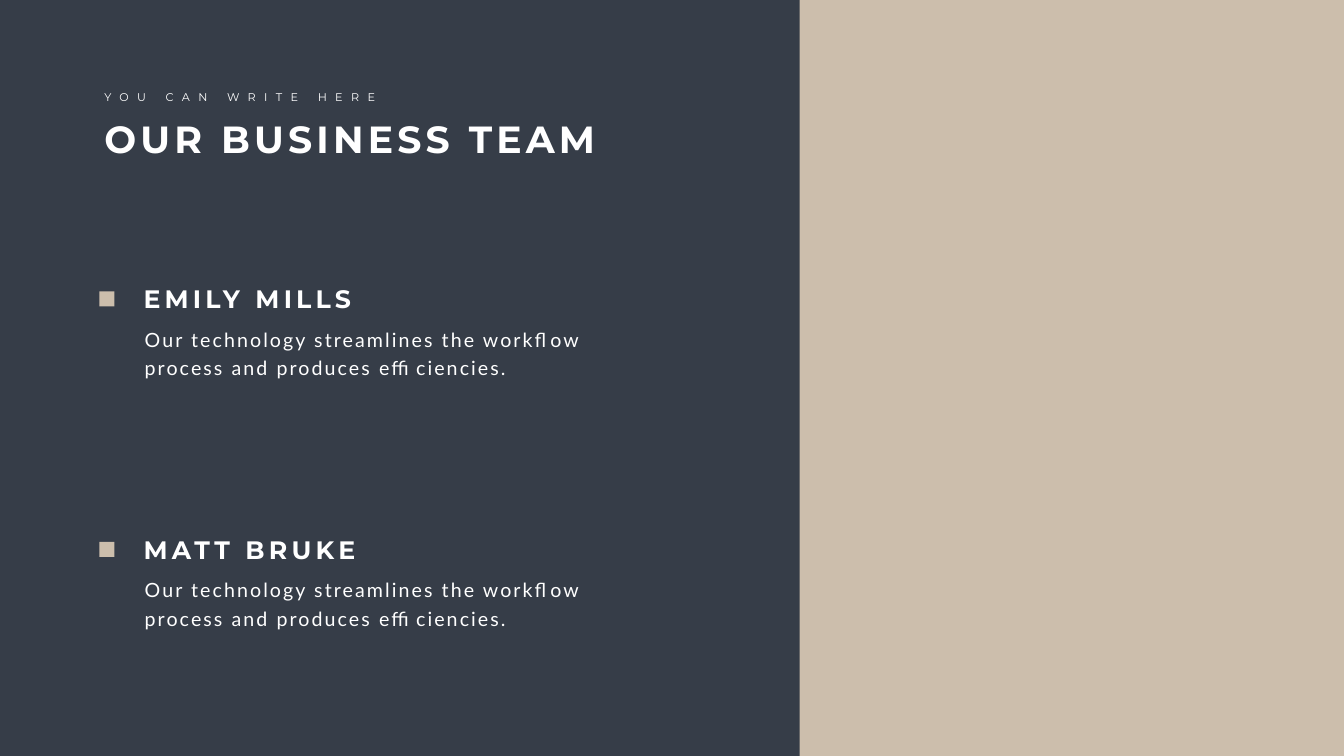
"""Build a team slide with a heading, two members and a plain side panel."""
from dataclasses import dataclass

from pptx import Presentation
from pptx import util as u
from pptx.dml.color import RGBColor
from pptx.enum import shapes, text
from pptx.shapes.shapetree import GroupShapes
from pptx.slide import Slide

PX = u.Inches(1) // 100
COLOURS = {"night": "363D48", "sand": "CCBEAC", "white": "FFFFFF"}
BLURB = "Our technology streamlines the workflow process and produces efficiencies."


@dataclass(frozen=True)
class Area:
    left: int
    top: int
    width: int
    height: int


@dataclass(frozen=True)
class Style:
    font: str
    size: int
    spacing: int
    bold: bool = False
    wrap: bool = True
    inset: tuple[int, int] = (10, 5)
    line_points: float | None = None


@dataclass(frozen=True)
class Member:
    name: str
    top: int


KICKER = Style("Montserrat", 16, 12, wrap=False)
TITLE = Style("Montserrat", 54, 6, bold=True)
NAME = Style("Montserrat", 36, 6, bold=True)
BODY = Style("Lato", 28, 3, inset=(24, 12), line_points=40.8)
MEMBERS = [Member("EMILY MILLS", 558), Member("MATT BRUKE", 1055)]


def colour(name: str) -> RGBColor:
    """Return a named colour."""
    return RGBColor.from_string(COLOURS[name])


def emu(area: Area) -> tuple[int, int, int, int]:
    """Turn an area in px into EMU lengths."""
    return area.left * PX, area.top * PX, area.width * PX, area.height * PX


def add_block(parent: GroupShapes, area: Area) -> None:
    """Draw a plain sand rectangle."""
    block = parent.add_shape(shapes.MSO_SHAPE.RECTANGLE, *emu(area))
    block.shadow.inherit = False
    block.fill.solid()
    block.fill.fore_color.rgb = colour("sand")
    block.line.fill.background()


def add_text(parent: GroupShapes, area: Area, words: str, style: Style) -> None:
    """Draw one paragraph of white text."""
    box = parent.add_textbox(*emu(area))
    frame = box.text_frame
    frame.word_wrap = style.wrap
    frame.auto_size = text.MSO_AUTO_SIZE.SHAPE_TO_FIT_TEXT
    frame.margin_left = frame.margin_right = style.inset[0] * PX
    frame.margin_top = frame.margin_bottom = style.inset[1] * PX
    para = frame.paragraphs[0]
    if style.line_points:
        para.line_spacing = u.Pt(style.line_points)
    span = para.add_run()
    span.text = words
    span.font.name = style.font
    span.font.size = u.Pt(style.size)
    span.font.bold = style.bold
    span.font.color.rgb = colour("white")
    span.font._element.set("spc", str(style.spacing * 100))


def add_heading(page: Slide) -> None:
    """Draw the title and the small line above it."""
    group = page.shapes.add_group_shape().shapes
    add_text(group, Area(197, 225, 1100, 101), "OUR BUSINESS TEAM", TITLE)
    add_text(group, Area(197, 174, 578, 37), "YOU CAN WRITE HERE", KICKER)


def add_member(page: Slide, member: Member) -> None:
    """Draw a member's marker, description and name."""
    group = page.shapes.add_group_shape().shapes
    add_block(group, Area(197, member.top + 20, 30, 30))
    add_text(group, Area(263, member.top + 70, 921, 133), BLURB, BODY)
    add_text(group, Area(275, member.top, 534, 71), member.name, NAME)


def main() -> None:
    """Build and save the deck."""
    deck = Presentation()
    deck.slide_width, deck.slide_height = 2666 * PX, 1500 * PX
    page = deck.slides.add_slide(deck.slide_layouts[6])
    page.background.fill.solid()
    page.background.fill.fore_color.rgb = colour("night")
    add_block(page.shapes, Area(1586, 0, 1080, 1500))
    add_heading(page)
    for member in MEMBERS:
        add_member(page, member)
    deck.save("out.pptx")


if __name__ == "__main__":
    main()
